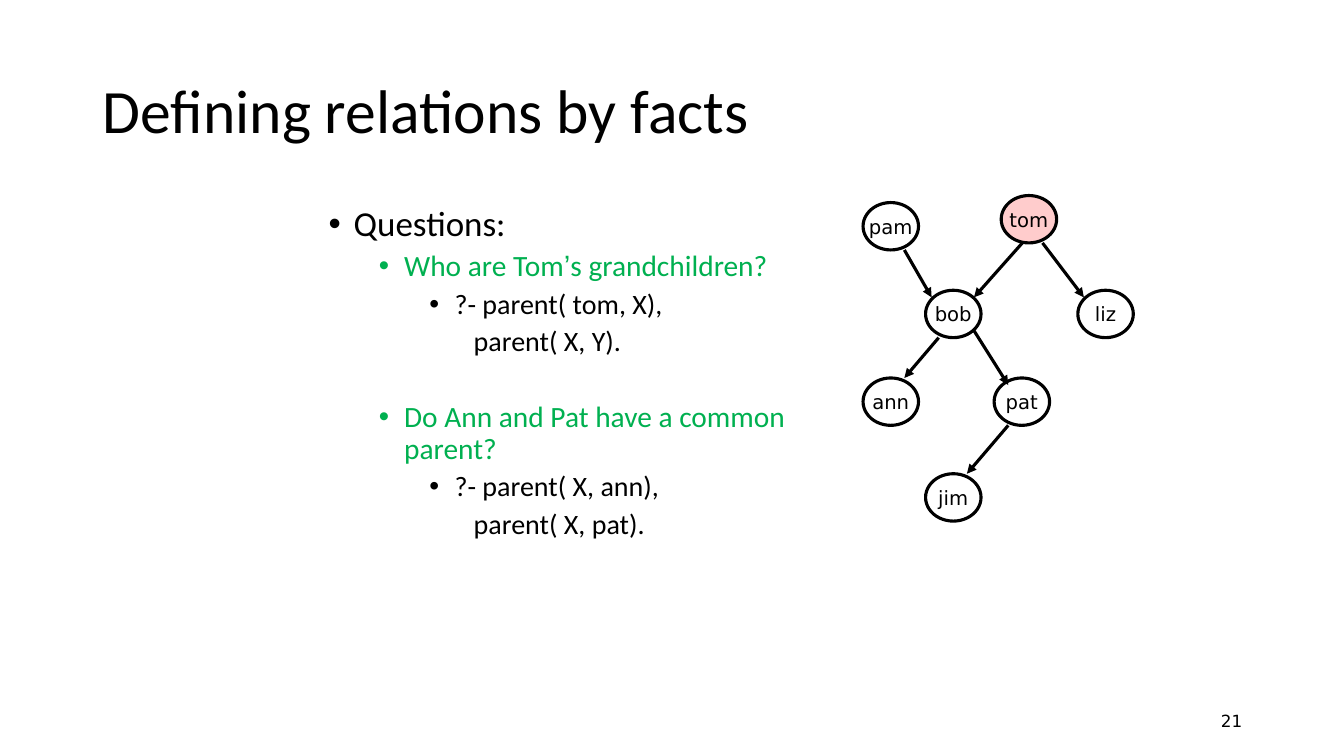
from lxml.etree import SubElement
from pptx import Presentation
from pptx.dml.color import RGBColor
from pptx.enum.shapes import MSO_CONNECTOR as CONNECTOR, MSO_SHAPE as SHAPE
from pptx.enum.text import MSO_ANCHOR as ANCHOR, PP_ALIGN as ALIGN
from pptx.oxml.ns import qn
from pptx.util import Pt

PX = 9144
COLORS = {"black": "000000", "white": "FFFFFF", "green": "00B050", "pink": "FFCCCC"}


def add_run(paragraph, text, size, font, color="black"):
    run = paragraph.add_run()
    run.text = text
    run.font.size = Pt(size)
    run.font.name = font
    run.font.color.rgb = RGBColor.from_string(COLORS[color])


def add_text_frame(left, top, width, height, anchor):
    box = slide.shapes.add_textbox(left * PX, top * PX, width * PX, height * PX)
    box.text_frame.word_wrap = True
    box.text_frame.vertical_anchor = anchor
    return box.text_frame


presentation = Presentation()
presentation.slide_width = 1333 * PX
presentation.slide_height = 750 * PX
slide = presentation.slides.add_slide(presentation.slide_layouts[6])

paragraph = add_text_frame(942, 695, 300, 40, ANCHOR.MIDDLE).paragraphs[0]
paragraph.alignment = ALIGN.RIGHT
add_run(paragraph, "21", 12, "DejaVu Sans")

paragraph = add_text_frame(92, 40, 1150, 145, ANCHOR.MIDDLE).paragraphs[0]
paragraph.line_spacing = 0.9
add_run(paragraph, "Defining relations by facts", 44, "Calibri")

LEVELS = [(25, "black", 25), (75, "green", 21), (125, "black", 20)]
CONTINUATION_MARGIN = 144
questions = [
    (0, True, 10, [("Questions:", "Calibri")]),
    (1, True, 5, [("Who are Tom", "Calibri"), ("’", "Arial"), ("s grandchildren?", "Calibri")]),
    (2, True, 5, [("?- parent( tom, X),", "Calibri")]),
    (2, False, 5, [("parent( X, Y).", "Calibri")]),
    (1, True, 32, [("Do Ann and Pat have a common parent?", "Calibri")]),
    (2, True, 5, [("?- parent( X, ann),", "Calibri")]),
    (2, False, 5, [("parent( X, pat).", "Calibri")]),
]
body = add_text_frame(316, 200, 571, 450, ANCHOR.TOP)
for index, (level, bulleted, space_before, runs) in enumerate(questions):
    paragraph = body.add_paragraph() if index else body.paragraphs[0]
    margin, color, size = LEVELS[level]
    paragraph.level = level
    paragraph.line_spacing = 0.9
    paragraph.space_before = Pt(space_before)
    properties = paragraph._p.get_or_add_pPr()
    if bulleted:
        properties.set("marL", str(margin * PX))
        properties.set("indent", str(-25 * PX))
        SubElement(properties, qn("a:buFont"), typeface="Arial")
        SubElement(properties, qn("a:buChar"), char="•")
    else:
        properties.set("marL", str(CONTINUATION_MARGIN * PX))
        properties.set("indent", "0")
    for text, font in runs:
        add_run(paragraph, text, size, font, color)

people = [
    ("pam", 856, 201, "white"),
    ("liz", 1069, 288, "white"),
    ("bob", 918, 288, "white"),
    ("jim", 918, 470, "white"),
    ("pat", 986, 375, "white"),
    ("ann", 856, 375, "white"),
    ("tom", 993, 194, "pink"),
]
for name, left, top, fill in people:
    person = slide.shapes.add_shape(SHAPE.OVAL, left * PX, top * PX, 55 * PX, 47 * PX)
    person.shadow.inherit = False
    person.fill.solid()
    person.fill.fore_color.rgb = RGBColor.from_string(COLORS[fill])
    person.line.color.rgb = RGBColor.from_string(COLORS["black"])
    person.line.width = Pt(2.25)
    person.text_frame.word_wrap = False
    person.text_frame.vertical_anchor = ANCHOR.MIDDLE
    paragraph = person.text_frame.paragraphs[0]
    paragraph.alignment = ALIGN.CENTER
    add_run(paragraph, name, 14, "DejaVu Sans")

parent_arrows = [
    (897, 248, 924, 295),
    (1014, 241, 966, 295),
    (1034, 241, 1075, 295),
    (931, 335, 897, 375),
    (966, 328, 1000, 382),
    (1000, 422, 959, 470),
]
for points in parent_arrows:
    arrow = slide.shapes.add_connector(CONNECTOR.STRAIGHT, *[point * PX for point in points])
    arrow.line.color.rgb = RGBColor.from_string(COLORS["black"])
    arrow.line.width = Pt(2.25)
    SubElement(arrow.line._get_or_add_ln(), qn("a:tailEnd"), type="triangle")
    SubElement(arrow._element.spPr, qn("a:effectLst"))

presentation.save("out.pptx")
